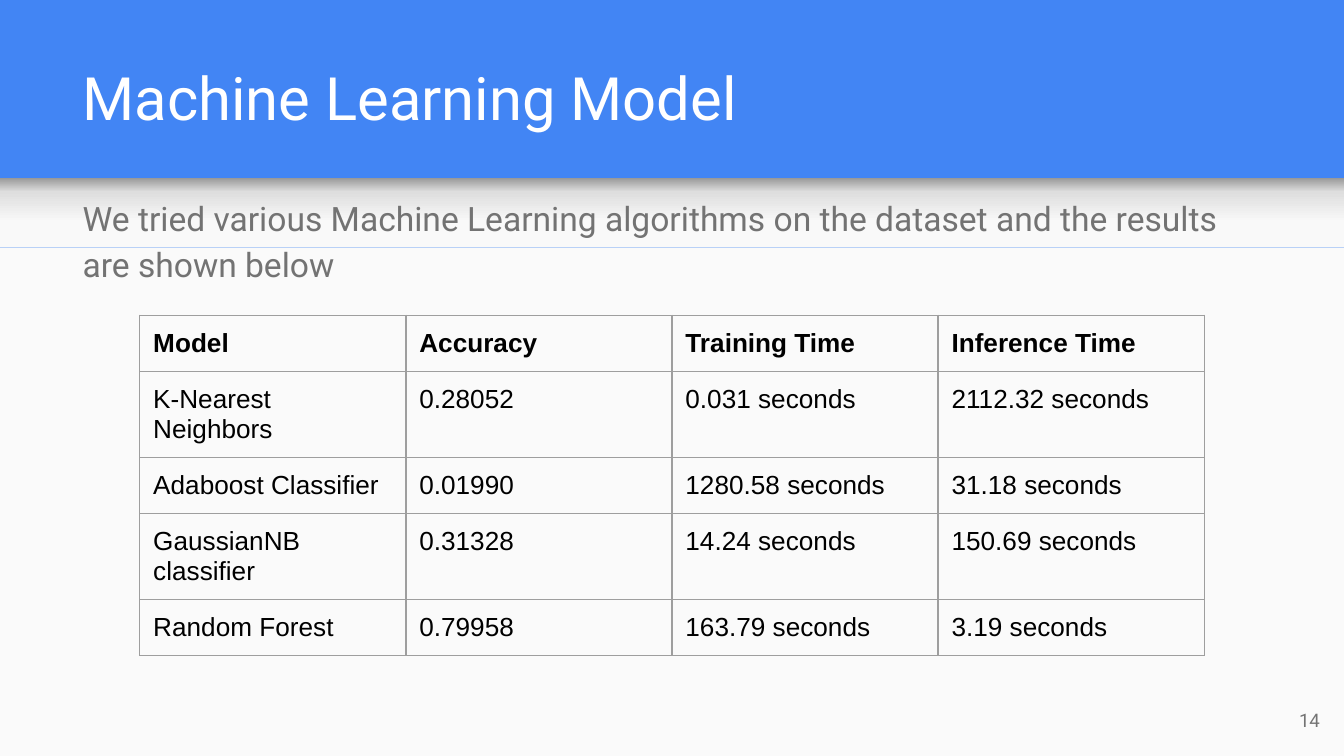
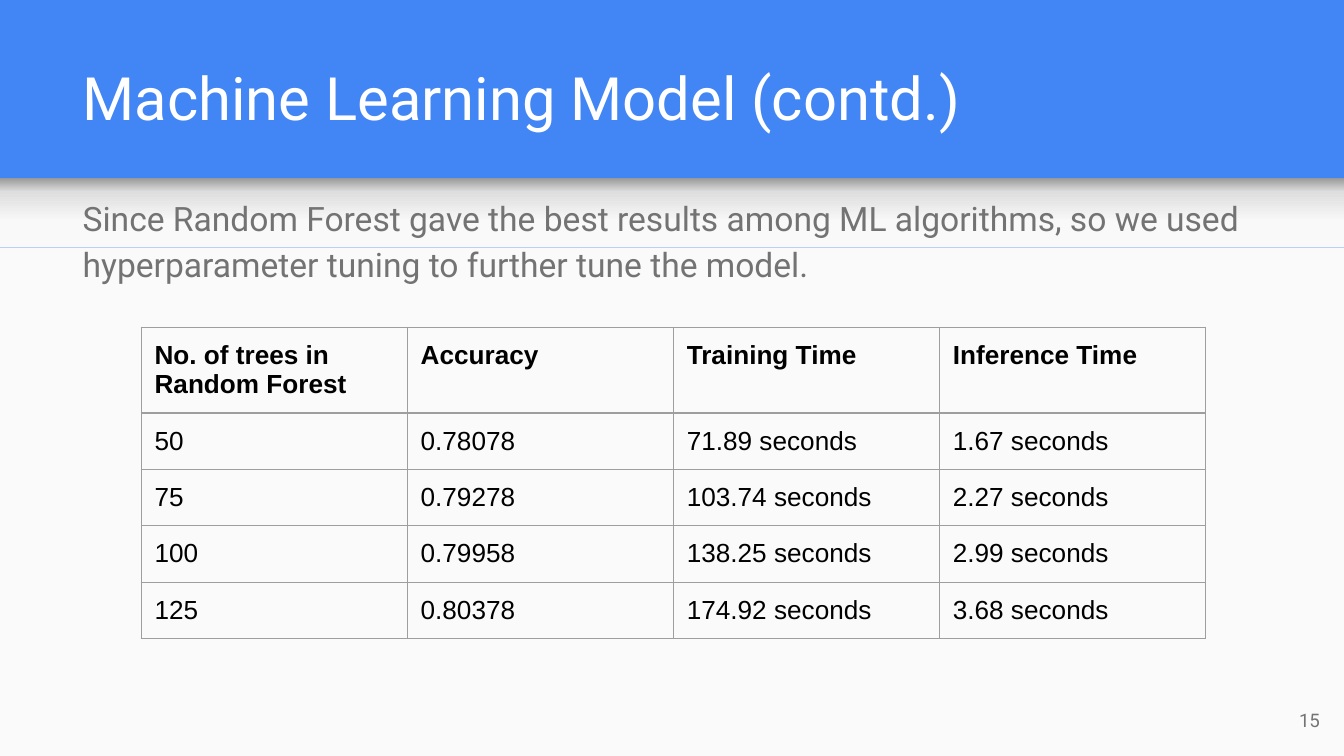
from copy import deepcopy

from lxml import etree
from pptx import Presentation
from pptx.dml.color import RGBColor
from pptx.enum.shapes import MSO_SHAPE
from pptx.enum.text import MSO_ANCHOR, MSO_AUTO_SIZE, PP_ALIGN
from pptx.oxml.ns import qn
from pptx.util import Pt

RECT = MSO_SHAPE.RECTANGLE
TOP, MIDDLE, BOTTOM = MSO_ANCHOR.TOP, MSO_ANCHOR.MIDDLE, MSO_ANCHOR.BOTTOM
FIXED = MSO_AUTO_SIZE.NONE
LEFT, RIGHT = PP_ALIGN.LEFT, PP_ALIGN.RIGHT

PX = 4572
WIDE, HIGH = 2000, 1125
BLUE = RGBColor(0x42, 0x85, 0xF4)
PAPER = RGBColor(0xFA, 0xFA, 0xFA)
WHITE = RGBColor(0xFF, 0xFF, 0xFF)
GRAY = RGBColor(0x73, 0x73, 0x73)
BLACK = RGBColor(0x00, 0x00, 0x00)
RULE = RGBColor(0x9E, 0x9E, 0x9E)
PALE = RGBColor(0xF9, 0xF9, 0xF9)
SHADE = [(0, PALE), (0.36, PALE), (0.8, RGBColor(0xDE, 0xDE, 0xDE)),
         (1, RGBColor(0x99, 0x99, 0x99))]

PANEL = (0, 368, WIDE, HIGH - 368)
FADE = (0, 265, WIDE, 103)
TITLE = (103, 49, 1798, 168)
BODY = (103, 265, 1798, 748)
NUMBER = (1864, 1028, 120, 86)
COL, ROW = 396, 84

INSET = {"margin_" + side: 20 * PX for side in ("left", "top", "right", "bottom")}
HEAD = {"name": "Roboto", "size": Pt(32), "color": WHITE}
LEAD = {"name": "Roboto", "size": Pt(18), "color": GRAY}
FOOT = {"name": "Roboto", "size": Pt(10), "color": GRAY}
CELL = {"name": "Arial", "size": Pt(14), "color": BLACK}
FLUSH = {"alignment": LEFT, "space_before": Pt(0)}
LOOSE = FLUSH | {"line_spacing": 1.15, "space_after": Pt(16)}

SLIDES = [
    {"title": "Machine Learning Model",
     "lead": "We tried various Machine Learning algorithms on the dataset "
             "and the results are shown below",
     "spot": (208, 469),
     "rows": [
         ("Model", "Accuracy", "Training Time", "Inference Time"),
         ("K-Nearest Neighbors", "0.28052", "0.031 seconds", "2112.32 seconds"),
         ("Adaboost Classifier", "0.01990", "1280.58 seconds", "31.18 seconds"),
         ("GaussianNB classifier", "0.31328", "14.24 seconds", "150.69 seconds"),
         ("Random Forest", "0.79958", "163.79 seconds", "3.19 seconds")]},
    {"title": "Machine Learning Model (contd.)",
     "lead": "Since Random Forest gave the best results among ML algorithms, "
             "so we used hyperparameter tuning to further tune the model.",
     "spot": (210, 487),
     "rows": [
         ("No. of trees in Random Forest", "Accuracy", "Training Time", "Inference Time"),
         ("50", "0.78078", "71.89 seconds", "1.67 seconds"),
         ("75", "0.79278", "103.74 seconds", "2.27 seconds"),
         ("100", "0.79958", "138.25 seconds", "2.99 seconds"),
         ("125", "0.80378", "174.92 seconds", "3.68 seconds")]},
]


def scale(box):
    """Turn a box in px into EMU."""
    return [side * PX for side in box]


def apply(item, values):
    """Set attributes of an item from a dict."""
    for name, value in values.items():
        setattr(item, name, value)


def style(para, look, form):
    """Format a paragraph and its single run."""
    apply(para, form)
    font = para.runs[0].font
    apply(font, {key: val for key, val in look.items() if key != "color"})
    font.color.rgb = look["color"]


def write(shape, box, text, look, form, anchor):
    """Place a shape and fill it with one paragraph."""
    apply(shape, dict(zip(("left", "top", "width", "height"), scale(box))))
    frame = shape.text_frame
    apply(frame, INSET | {"text": text, "word_wrap": True, "auto_size": FIXED,
                          "vertical_anchor": anchor})
    style(frame.paragraphs[0], look, form)


def block(slide, box, place):
    """Add a plain rectangle behind the text."""
    shape = slide.shapes.add_shape(RECT, *scale(box))
    shape.shadow.inherit = False
    shape.line.fill.background()
    slide.shapes.element.insert(place, shape.element)
    return shape


def draw_bands(slide):
    """Draw the light panel and the shade under the title band."""
    panel = block(slide, PANEL, 2)
    panel.fill.solid()
    panel.fill.fore_color.rgb = PAPER
    fade = block(slide, FADE, 3)
    fade.fill.gradient()
    fade.fill.gradient_angle = 90
    stops = next(fade.element.iter(qn("a:gsLst")))
    while len(stops) < len(SHADE):
        stops.append(deepcopy(stops[0]))
    for stop, (at, color) in zip(fade.fill.gradient_stops, SHADE):
        stop.position = at
        stop.color.rgb = color


def edge(cell):
    """Rule all four sides of a cell."""
    props = cell._tc.get_or_add_tcPr()
    for tag in ("a:lnL", "a:lnR", "a:lnT", "a:lnB"):
        line = etree.SubElement(props, qn(tag), w=str(Pt(0.75)))
        fill = etree.SubElement(line, qn("a:solidFill"))
        etree.SubElement(fill, qn("a:srgbClr"), val=str(RULE))


def draw_table(slide, spot, rows):
    """Draw a ruled table with a bold first row."""
    count = len(rows[0])
    box = (*spot, COL * count, ROW * len(rows))
    table = slide.shapes.add_table(len(rows), count, *scale(box)).table
    apply(table, {"first_row": False, "horz_banding": False})
    for r, row in enumerate(rows):
        for c, text in enumerate(row):
            cell = table.cell(r, c)
            apply(cell, INSET | {"text": text, "vertical_anchor": TOP})
            style(cell.text_frame.paragraphs[0], CELL | {"bold": r == 0}, FLUSH)
            edge(cell)
            cell.fill.background()


def build(deck, number, title, lead, spot, rows):
    """Build one slide with title, lead text, table and number."""
    slide = deck.slides.add_slide(deck.slide_layouts[1])
    draw_bands(slide)
    write(slide.shapes.title, TITLE, title, HEAD, FLUSH, BOTTOM)
    body = slide.placeholders[1]
    write(body, BODY, lead, LEAD, LOOSE, TOP)
    props = body.text_frame.paragraphs[0]._p.get_or_add_pPr()
    apply_flat = {"marL": "0", "indent": "0"}
    props.attrib.update(apply_flat)
    etree.SubElement(props, qn("a:buNone"))
    draw_table(slide, spot, rows)
    note = slide.shapes.add_textbox(*scale(NUMBER))
    write(note, NUMBER, str(number), FOOT, {"alignment": RIGHT}, MIDDLE)


def main():
    """Build and save the deck."""
    deck = Presentation()
    apply(deck, {"slide_width": WIDE * PX, "slide_height": HIGH * PX})
    back = deck.slide_master.background.fill
    back.solid()
    back.fore_color.rgb = BLUE
    for number, parts in enumerate(SLIDES, 14):
        build(deck, number, **parts)
    deck.save("out.pptx")


if __name__ == "__main__":
    main()
